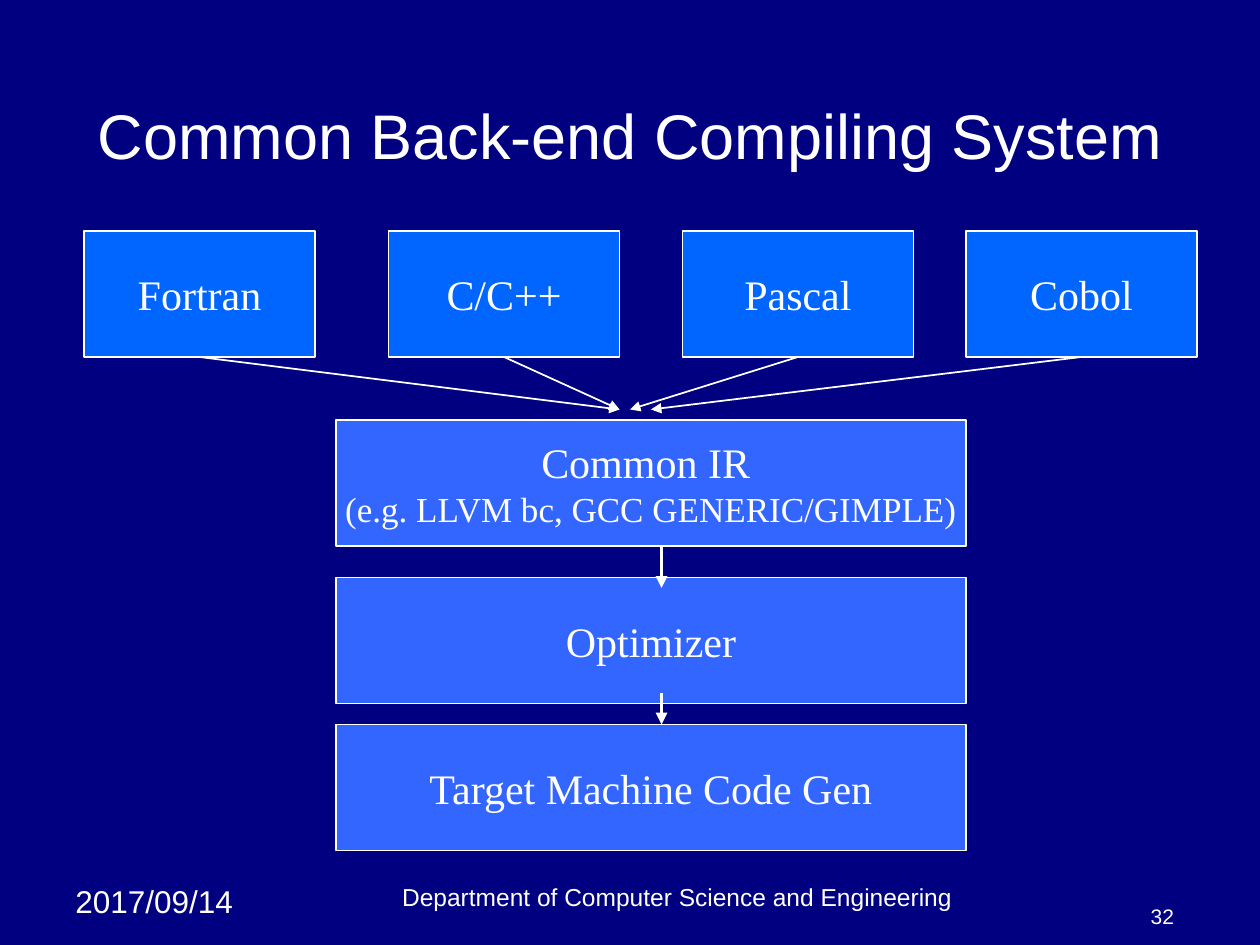
import pptx
import pptx.dml.color
import pptx.enum.shapes
import pptx.enum.text
import pptx.oxml
import pptx.oxml.ns
import pptx.util

COLORS = {"navy": "000080", "white": "FFFFFF", "language": "0066FF", "stage": "3366FF"}
UNIT = pptx.util.Inches(1) // 12  # the grid has 120 columns and 90 rows
ALIGN = pptx.enum.text.PP_ALIGN
ANCHOR = pptx.enum.text.MSO_ANCHOR

LANGUAGE_TOP, LANGUAGE_WIDTH, BOX_HEIGHT = 22, 22, 12
STAGE_LEFT, STAGE_WIDTH = 32, 60
FLOW_COLUMN = 63
FAN_ROW = 39

# name, left column of the box, column where its arrow ends
LANGUAGES = [("Fortran", 8, 59), ("C/C++", 37, 59), ("Pascal", 65, 60), ("Cobol", 92, 62)]
# top row, lines of text with their sizes
STAGES = [
    (40, [("Common IR ", 24), ("(e.g. LLVM bc, GCC GENERIC/GIMPLE)", 20)]),
    (55, [("Optimizer", 24)]),
    (69, [("Target Machine Code Gen", 24)]),
]
FLOW_ROWS = [(66, 69), (52, 56)]
# text, size, grid box, alignment, anchor
FOOTERS = [
    ("2017/09/14", 18, (6, 83.4, 19, 4.8), ALIGN.LEFT, ANCHOR.TOP),
    ("Department of Computer Science and Engineering", 14, (24, 83.4, 81, 4),
     ALIGN.CENTER, ANCHOR.BOTTOM),
    ("32", 12, (105, 85, 8, 4), ALIGN.RIGHT, ANCHOR.BOTTOM),
]


def rgb(name):
    return pptx.dml.color.RGBColor.from_string(COLORS[name])


def grid(*cells):
    return [round(cell * UNIT) for cell in cells]


def write(shape, lines, font, align, anchor, wrap=True):
    """Fill the shape with one paragraph for each (text, size) pair."""
    tf = shape.text_frame
    frame_format = {"word_wrap": wrap, "vertical_anchor": anchor,
                    "auto_size": pptx.enum.text.MSO_AUTO_SIZE.NONE}
    for name, value in frame_format.items():
        setattr(tf, name, value)
    for i, (text, size) in enumerate(lines):
        p = tf.add_paragraph() if i else tf.paragraphs[0]
        p.alignment = align
        r = p.add_run()
        r.text = text
        for name, value in {"name": font, "size": pptx.util.Pt(size)}.items():
            setattr(r.font, name, value)
        r.font.color.rgb = rgb("white")


def add_title(s, text):
    title = s.shapes.title
    title.left, title.top, title.width, title.height = grid(6, 7, 108, 11.6)
    write(title, [(text, 36)], "Arial", ALIGN.CENTER, ANCHOR.MIDDLE)


def add_footer(s, text, size, box, align, anchor):
    write(s.shapes.add_textbox(*grid(*box)), [(text, size)], "Arial", align, anchor)


def add_box(s, left, top, width, fill, lines):
    sp = s.shapes.add_shape(pptx.enum.shapes.MSO_SHAPE.RECTANGLE,
                            *grid(left, top, width, BOX_HEIGHT))
    sp.shadow.inherit = False
    sp.fill.solid()
    sp.fill.fore_color.rgb = rgb(fill)
    sp.line.color.rgb = rgb("white")
    sp.line.width = pptx.util.Pt(1)
    write(sp, lines, "Times New Roman", ALIGN.CENTER, ANCHOR.MIDDLE, wrap=False)
    return sp


def add_arrow(s, start, end, weight):
    arrow = s.shapes.add_connector(pptx.enum.shapes.MSO_CONNECTOR.STRAIGHT,
                                   *grid(*start, *end))
    arrow.line.color.rgb = rgb("white")
    arrow.line.width = pptx.util.Pt(weight)
    ns = pptx.oxml.ns.nsdecls("a")
    arrow.line._get_or_add_ln().append(
        pptx.oxml.parse_xml(f'<a:tailEnd {ns} type="triangle"/>'))
    arrow._element.spPr.append(pptx.oxml.parse_xml(f"<a:effectLst {ns}/>"))
    return arrow


def main():
    prs = pptx.Presentation()
    prs.slide_width, prs.slide_height = grid(120, 90)
    s = prs.slides.add_slide(prs.slide_layouts[5])
    s.background.fill.solid()
    s.background.fill.fore_color.rgb = rgb("navy")

    for footer in FOOTERS:
        add_footer(s, *footer)
    add_title(s, "Common Back-end Compiling System")

    boxes = [add_box(s, left, LANGUAGE_TOP, LANGUAGE_WIDTH, "language", [(name, 24)])
             for name, left, _ in LANGUAGES]
    for top, lines in STAGES:
        add_box(s, STAGE_LEFT, top, STAGE_WIDTH, "stage", lines)

    for box, (_, left, target) in zip(boxes, LANGUAGES):
        start = (left + LANGUAGE_WIDTH / 2, LANGUAGE_TOP + BOX_HEIGHT)
        add_arrow(s, start, (target, FAN_ROW), 1).begin_connect(box, 2)
    for start_row, end_row in FLOW_ROWS:
        add_arrow(s, (FLOW_COLUMN, start_row), (FLOW_COLUMN, end_row), 2.25)

    prs.save("out.pptx")


if __name__ == "__main__":
    main()
